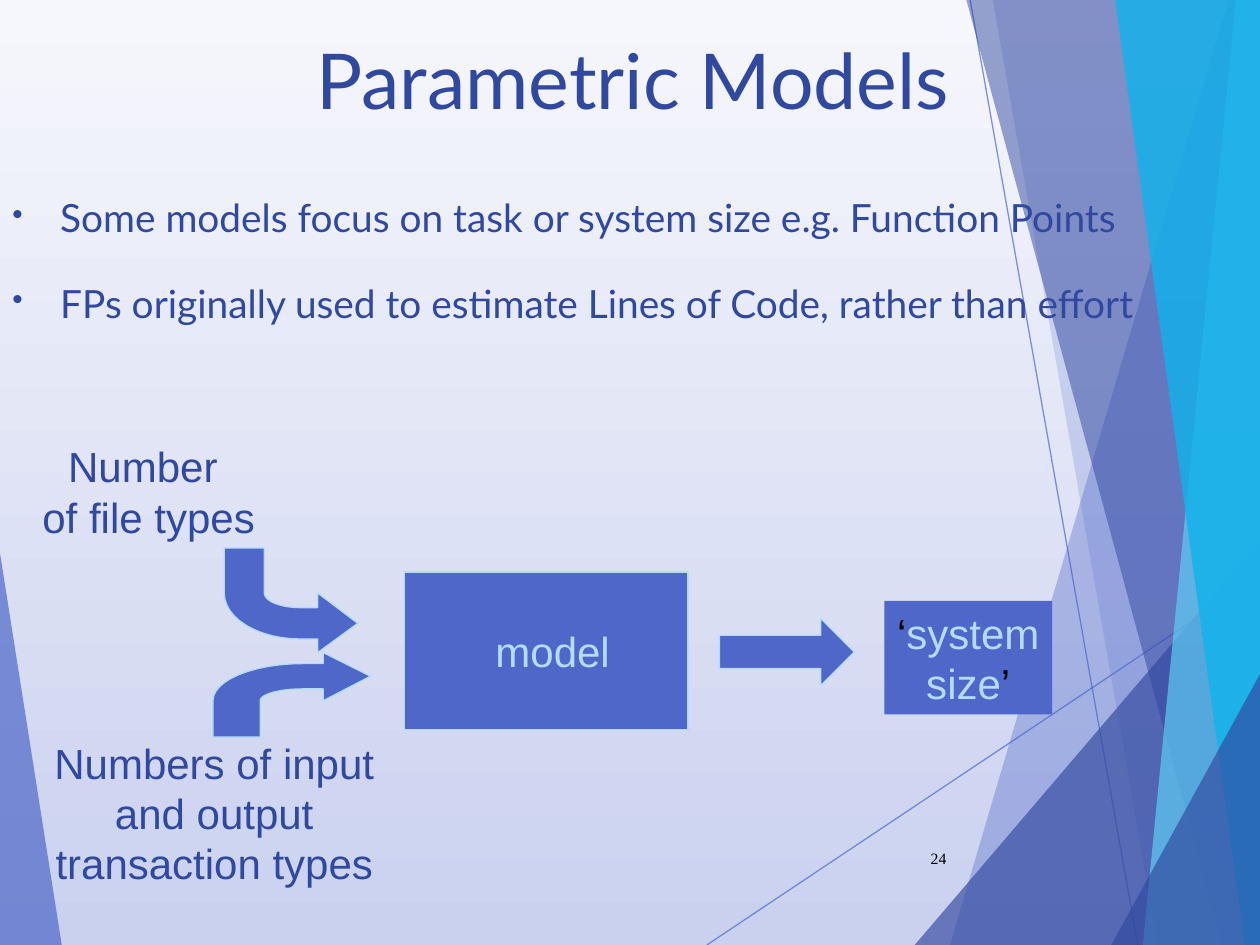
from dataclasses import dataclass
from math import cos, pi, sin

from lxml import etree
from pptx import Presentation
from pptx.dml.color import RGBColor
from pptx.enum.shapes import MSO_CONNECTOR, MSO_SHAPE
from pptx.enum.text import MSO_ANCHOR, PP_ALIGN
from pptx.oxml.ns import qn
from pptx.util import Inches, Pt

STRAIGHT = MSO_CONNECTOR.STRAIGHT
RECTANGLE, RIGHT_ARROW = MSO_SHAPE.RECTANGLE, MSO_SHAPE.RIGHT_ARROW
TOP, MIDDLE = MSO_ANCHOR.TOP, MSO_ANCHOR.MIDDLE
LEFT, CENTER, RIGHT = PP_ALIGN.LEFT, PP_ALIGN.CENTER, PP_ALIGN.RIGHT


@dataclass(frozen=True)
class Theme:
    """Colours, fonts and type sizes of the slide."""

    sky_top: str = "F6F7FC"
    sky_bottom: str = "CAD1EF"
    blue: str = "4E67C8"
    navy: str = "31489F"
    aqua: str = "5ECCF3"
    cyan: str = "12B2EB"
    pale: str = "B4DCFA"
    black: str = "000000"
    heading_font: str = "Lato"
    label_font: str = "Arial"
    number_font: str = "Times New Roman"
    title_size: float = 44
    bullet_size: float = 22.2
    label_size: float = 24
    number_size: float = 9
    line_width: float = 0.75


THEME = Theme()


def set_alpha(shape, percent):
    """Make every colour of a shape partly transparent."""
    for color in shape._element.spPr.iter(qn("a:srgbClr")):
        etree.SubElement(color, qn("a:alpha")).set("val", str(percent * 1000))


def paint(shape, fill, line=None):
    """Give a shape a flat fill and an optional outline."""
    shape.shadow.inherit = False
    shape.fill.solid()
    shape.fill.fore_color.rgb = RGBColor.from_string(fill)
    if line:
        shape.line.color.rgb = RGBColor.from_string(line)
        shape.line.width = Pt(THEME.line_width)
    else:
        shape.line.fill.background()


def write_text(shape, lines, *, size=THEME.label_size, font=THEME.label_font,
               color=THEME.navy, align=CENTER, anchor=MIDDLE, wrap=True):
    """Write lines, each a string or a list of (text, colour) runs."""
    frame = shape.text_frame
    frame.word_wrap, frame.vertical_anchor = wrap, anchor
    for index, line in enumerate(lines):
        paragraph = frame.add_paragraph() if index else frame.paragraphs[0]
        paragraph.alignment = align
        for text, run_color in [(line, color)] if isinstance(line, str) else line:
            run = paragraph.add_run()
            run.text = text
            run.font.size, run.font.name = Pt(size), font
            run.font.color.rgb = RGBColor.from_string(run_color)
    return frame


def add_text(slide, box, lines, **text_format):
    """Add a text box and fill it with lines."""
    shape = slide.shapes.add_textbox(*map(Inches, box))
    return write_text(shape, lines, **text_format)


def add_outline(slide, points):
    """Add a closed polygon through points given in inches."""
    corners = [(Inches(x), Inches(y)) for x, y in points]
    builder = slide.shapes.build_freeform(*corners[0], scale=1.0)
    builder.add_line_segments(corners[1:], close=True)
    return builder.convert_to_shape()


def add_facet(slide, points, color, alpha):
    """Add one translucent facet of the backdrop."""
    facet = add_outline(slide, points)
    paint(facet, color)
    set_alpha(facet, alpha)


def add_thin_line(slide, start, end):
    """Add one translucent hairline of the backdrop."""
    line = slide.shapes.add_connector(STRAIGHT, *map(Inches, start + end))
    line.line.color.rgb = RGBColor.from_string(THEME.blue)
    line.line.width = Pt(THEME.line_width)
    set_alpha(line, 70)
    etree.SubElement(line._element.spPr, qn("a:effectLst"))


def add_backdrop(slide, box):
    """Draw the gradient, hairlines and facets over the box."""
    left, top, width, height = box
    right, bottom = left + width, top + height
    fill = slide.background.fill
    fill.gradient()
    fill.gradient_angle = 270
    for stop, position, color in zip(fill.gradient_stops, (0, 1),
                                     (THEME.sky_top, THEME.sky_bottom)):
        stop.position = position
        stop.color.rgb = RGBColor.from_string(color)

    add_facet(slide, [(left, top + 4.39), (left + 0.49, bottom), (left, bottom)],
              THEME.blue, 70)
    add_thin_line(slide, (left + 5.61, bottom), (right, top + 4.57))
    add_thin_line(slide, (left + 7.7, top), (left + 9.03, bottom))
    for top_x, bottom_x, color, alpha in (
        (9.75, 7.54, THEME.blue, 36),
        (7.88, 9.19, THEME.blue, 20),
        (None, (7.26, 4.29), THEME.navy, 66),
        (7.67, 9.7, THEME.navy, 50),
        (9.81, 9.07, THEME.aqua, 70),
        (8.85, 9.88, THEME.cyan, 82),
        (None, (8.82, 5.35), THEME.navy, 66),
    ):
        if top_x is None:
            corner_x, corner_y = bottom_x
            points = [(left + corner_x, bottom), (right, top + corner_y)]
        else:
            points = [(left + top_x, top), (left + bottom_x, bottom)]
        points.append((right, bottom))
        if top_x is not None:
            points.append((right, top))
        add_facet(slide, points, color, alpha)


def add_bullets(slide, box, lines):
    """Add the bulleted statements."""
    frame = add_text(slide, box, lines, size=THEME.bullet_size,
                     font=THEME.heading_font, align=LEFT, anchor=TOP)
    frame.margin_top = Inches(0.51)
    for index, paragraph in enumerate(frame.paragraphs):
        paragraph.line_spacing = 0.9
        if index:
            paragraph.space_before = Pt(25)
        properties = paragraph._p.get_or_add_pPr()
        properties.set("marL", str(Inches(0.38)))
        properties.set("indent", str(Inches(-0.38)))
        color = etree.SubElement(properties, qn("a:buClr"))
        etree.SubElement(color, qn("a:srgbClr")).set("val", THEME.navy)
        etree.SubElement(properties, qn("a:buSzPct")).set("val", "80000")
        etree.SubElement(properties, qn("a:buChar")).set("char", "•")


def add_bent_arrow(slide, box, downward=False):
    """Add an arrow that rises, or falls, and bends to the right."""
    left, top, width, height = box
    stem, bend, neck = 0.3, 0.57, 0.7
    upper, tip, lower, head = 0.13, 0.28, 0.43, 0.57
    angles = [step * pi / 24 for step in range(13)]
    outer = [(bend - bend * cos(a), head - (head - upper) * sin(a)) for a in angles]
    inner = [(bend - (bend - stem) * cos(a), head - (head - lower) * sin(a))
             for a in reversed(angles)]
    unit = [(0, 1), *outer, (neck, upper), (neck, 0), (1, tip), (neck, head),
            (neck, lower), *inner, (stem, 1)]
    arrow = add_outline(slide, [(left + x * width,
                                 top + (1 - y if downward else y) * height)
                                for x, y in unit])
    paint(arrow, THEME.blue, THEME.pale)


def add_block(slide, kind, box, line=None):
    """Add a solid preset shape of the diagram."""
    shape = slide.shapes.add_shape(kind, *map(Inches, box))
    paint(shape, THEME.blue, line)
    return shape


def add_model_diagram(slide, box):
    """Draw inputs, model and output within the box."""
    left, top, _, _ = box

    def place(x, y, width, height):
        return left + x, top + y, width, height

    model = add_block(slide, RECTANGLE, place(3.21, 1.09, 2.25, 1.25), THEME.pale)
    frame = write_text(model, ["model"], color=THEME.pale, wrap=False)
    frame.margin_left = Inches(0.2)
    add_text(slide, place(0, 0, 2.36, 0.9), ["Number ", "of file types"])
    add_text(slide, place(0.29, 2.35, 2.82, 1.3),
             ["Numbers of input ", "and output transaction types"])
    add_bent_arrow(slide, place(1.69, 1.73, 1.25, 0.67))
    add_bent_arrow(slide, place(1.78, 0.9, 1.06, 0.83), downward=True)
    add_block(slide, RIGHT_ARROW, place(5.71, 1.46, 1.07, 0.53), THEME.pale)
    output = add_block(slide, RECTANGLE, place(7.02, 1.32, 1.33, 0.9))
    write_text(output, [[("‘", THEME.black), ("system", THEME.pale)],
                        [("size", THEME.pale), ("’", THEME.black)]], wrap=False)


def main():
    """Build the slide and save it."""
    presentation = Presentation()
    presentation.slide_width, presentation.slide_height = Inches(10), Inches(7.5)
    slide = presentation.slides.add_slide(presentation.slide_layouts[6])
    add_backdrop(slide, (0, 0, 10, 7.5))
    add_text(slide, (7.05, 6.61, 0.56, 0.4), ["24"], size=THEME.number_size,
             font=THEME.number_font, color=THEME.black, align=RIGHT)
    add_text(slide, (1.08, 0, 7.89, 1.25), ["Parametric Models"],
             size=THEME.title_size, font=THEME.heading_font)
    add_bullets(slide, (0, 1.07, 10, 2.21), [
        "Some models focus on task or system size e.g. Function Points",
        "FPs originally used to estimate Lines of Code, rather than effort"])
    add_model_diagram(slide, (0, 3.45, 8.35, 3.65))
    presentation.save("out.pptx")


if __name__ == "__main__":
    main()
